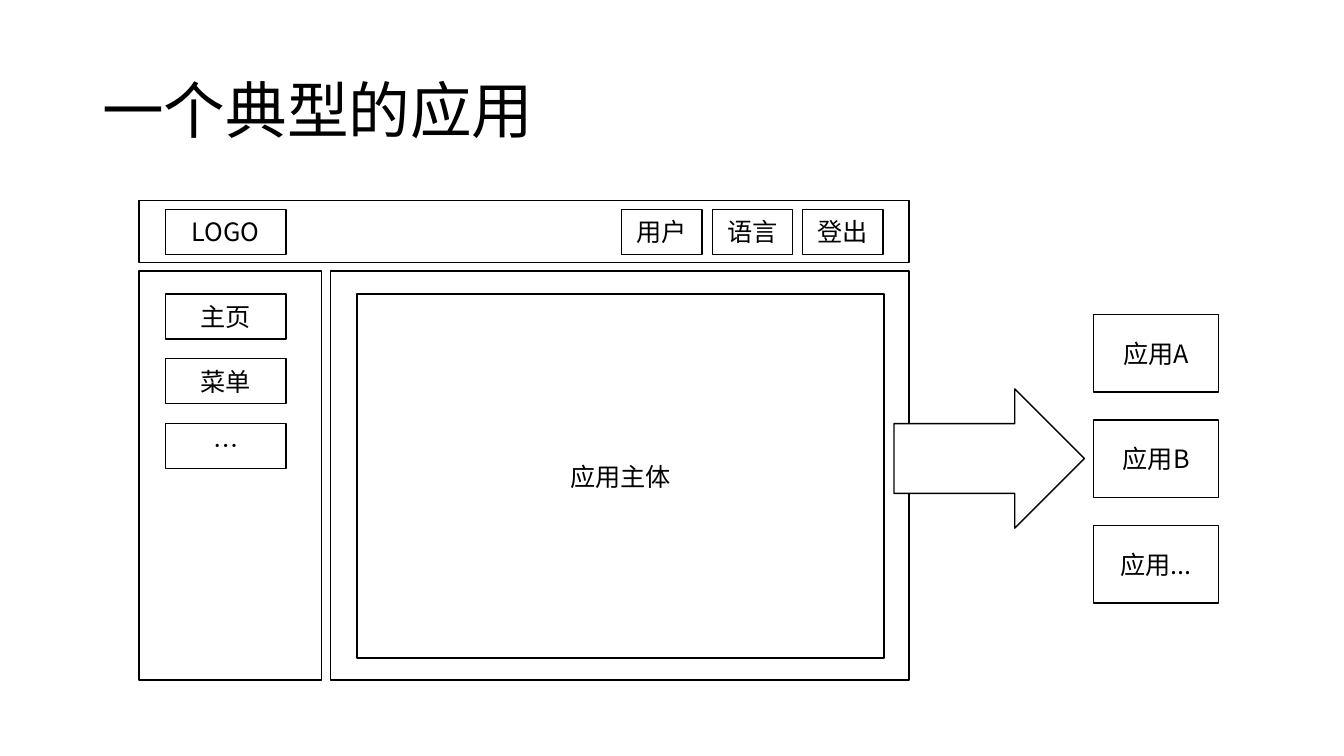
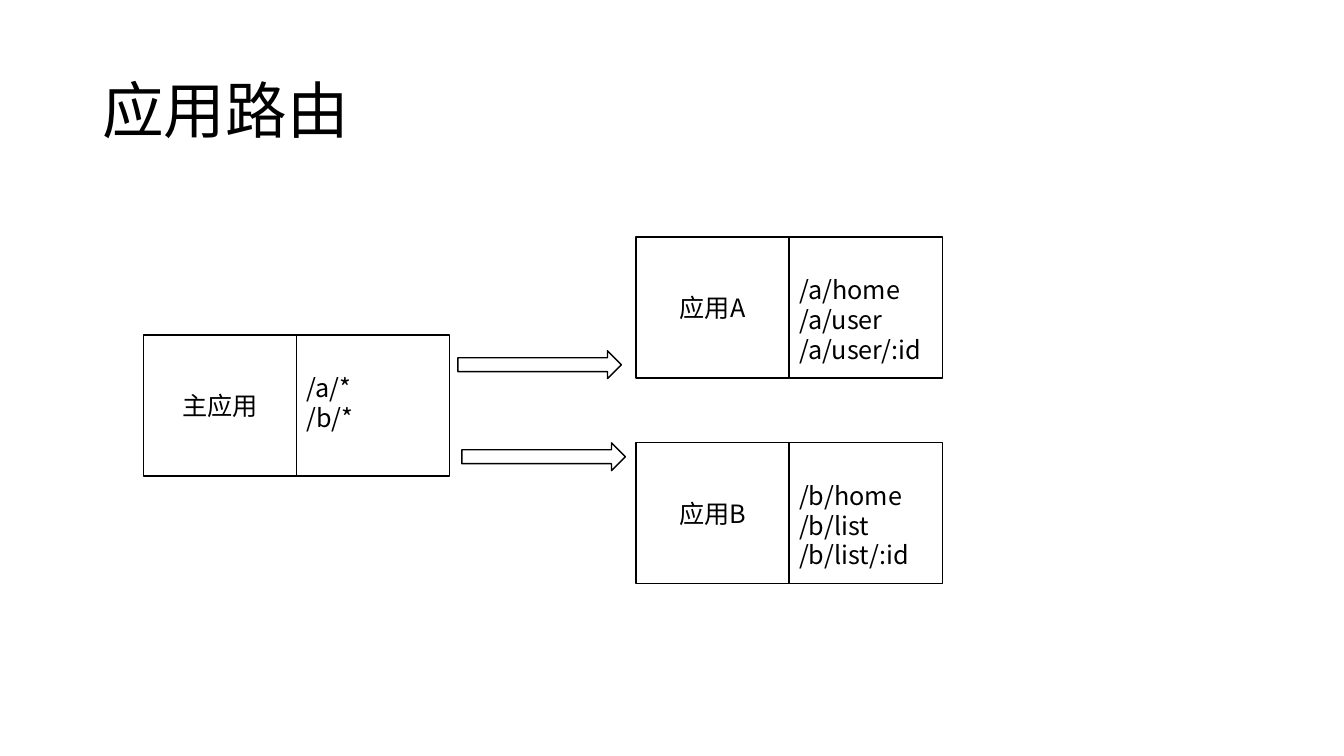
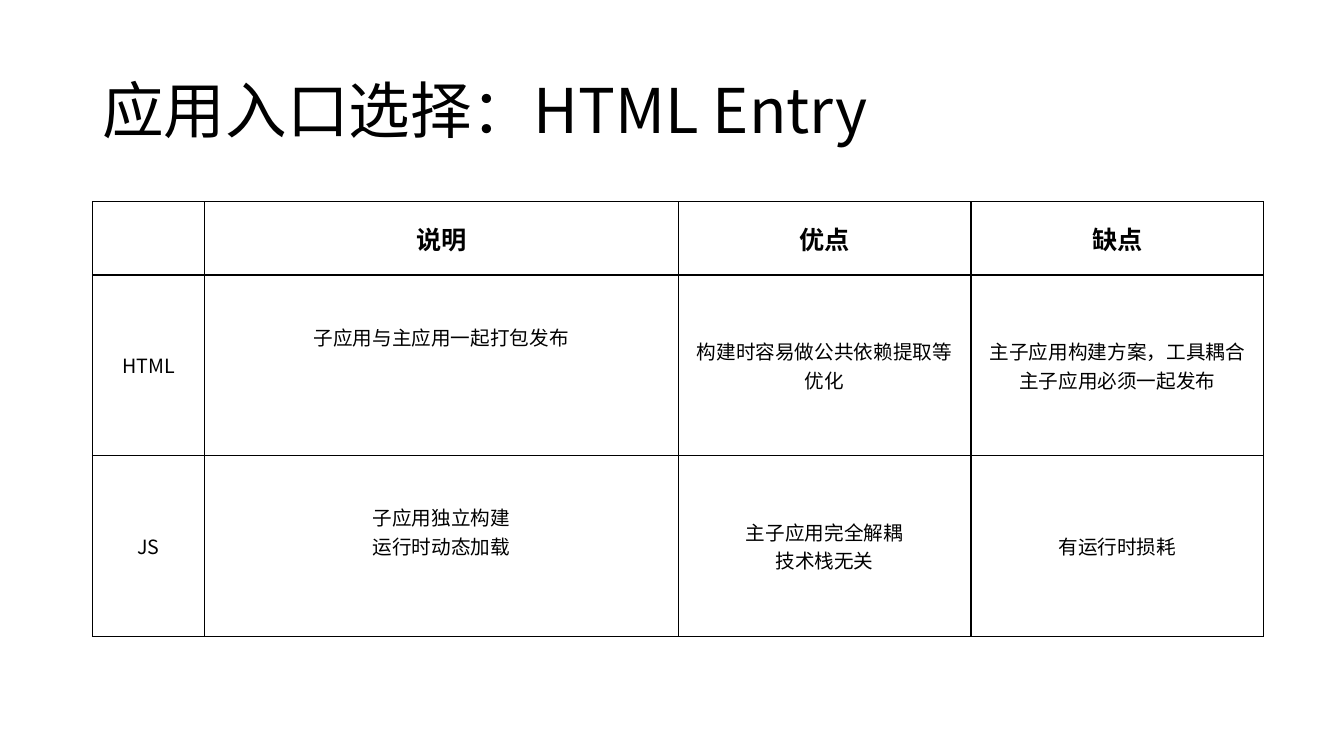
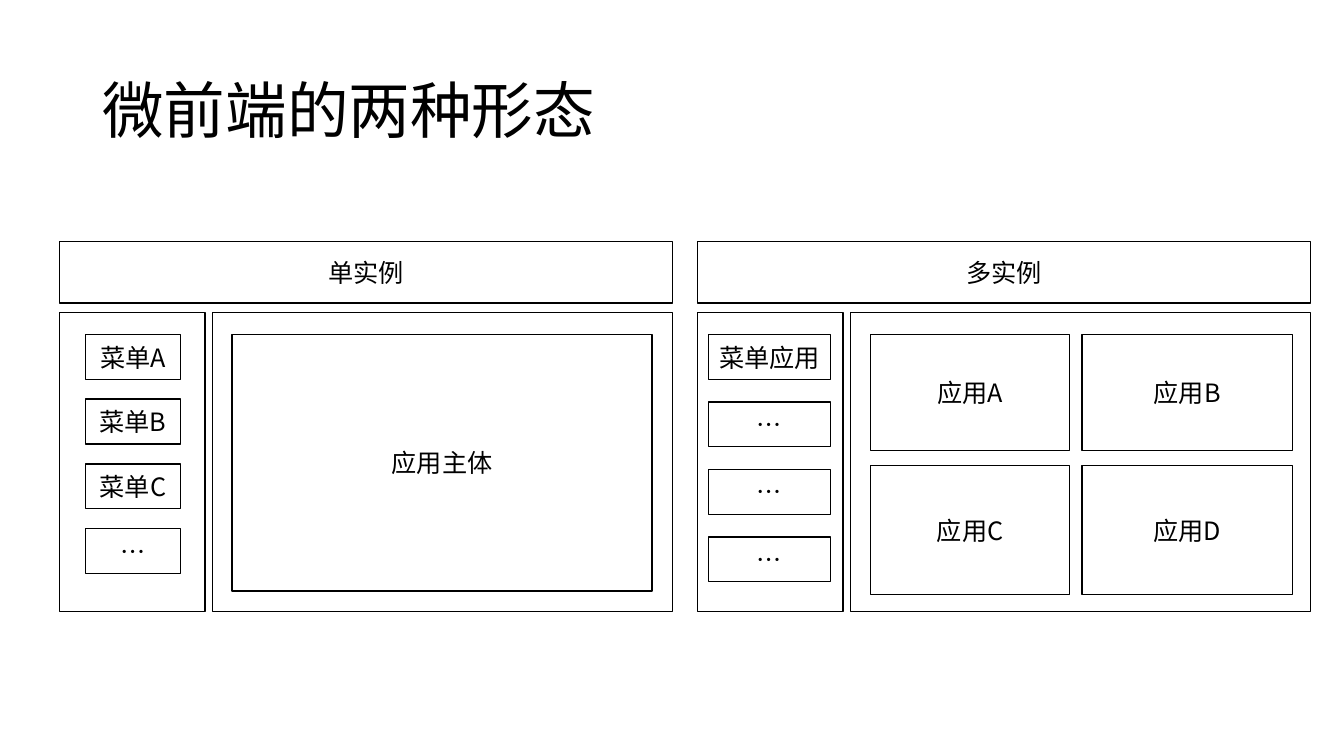
"""Build four slides on micro front-end application structure."""
from lxml.etree import SubElement
from pptx import Presentation
from pptx.dml.color import RGBColor
from pptx.enum.shapes import MSO_SHAPE as SHAPE
from pptx.enum.text import MSO_ANCHOR as ANCHOR, PP_ALIGN as ALIGN
from pptx.oxml.ns import qn
from pptx.util import Cm, Pt

BLACK = RGBColor(0x00, 0x00, 0x00)
WHITE = RGBColor(0xFF, 0xFF, 0xFF)
FONT = "Noto Sans CJK SC"
LABEL = {"size": Pt(18), "name": FONT, "bold": False}
TITLE = {**LABEL, "size": Pt(44)}
HEADER = {**LABEL, "bold": True}
CELL = {**LABEL, "size": Pt(14)}


def write(frame, text, style, align=ALIGN.CENTER, spacing=None):
    """Write each line of text as a styled paragraph."""
    for index, line in enumerate(text.split("\n")):
        paragraph = frame.add_paragraph() if index else frame.paragraphs[0]
        paragraph.alignment = align
        paragraph.line_spacing = spacing
        run = paragraph.add_run()
        run.text = line
        for name, value in style.items():
            setattr(run.font, name, value)
        run.font.color.rgb = BLACK
        SubElement(run.font._element, qn("a:ea"), typeface=FONT)


def add_box(slide, left, top, width, height, text="", kind=SHAPE.RECTANGLE, filled=False):
    """Add an outlined shape with an optional centred label."""
    shape = slide.shapes.add_shape(kind, Cm(left), Cm(top), Cm(width), Cm(height))
    shape.shadow.inherit = False
    if filled:
        shape.fill.solid()
        shape.fill.fore_color.rgb = WHITE
    else:
        shape.fill.background()
    shape.line.color.rgb = BLACK
    shape.line.width = Pt(1)
    frame = shape.text_frame
    frame.word_wrap = True
    frame.margin_left = frame.margin_right = Cm(0.1)
    frame.vertical_anchor = ANCHOR.MIDDLE
    if text:
        write(frame, text, LABEL)
    return shape


presentation = Presentation()
presentation.slide_width = Cm(33.87)
presentation.slide_height = Cm(19.05)

slides = []
for title in ["一个典型的应用", "应用路由", "应用入口选择：HTML Entry", "微前端的两种形态"]:
    slide = presentation.slides.add_slide(presentation.slide_layouts[6])
    frame = slide.shapes.add_textbox(Cm(2.33), Cm(1.02), Cm(29.21), Cm(3.68)).text_frame
    frame.word_wrap = True
    frame.vertical_anchor = ANCHOR.MIDDLE
    write(frame, title, TITLE, ALIGN.LEFT, 0.9)
    slides.append(slide)
typical_slide, routing_slide, entry_slide, modes_slide = slides

add_box(typical_slide, 3.5, 5.05, 19.41, 1.56, filled=True)
add_box(typical_slide, 3.5, 6.83, 4.6, 10.31)
add_box(typical_slide, 8.33, 6.83, 14.58, 10.31)
add_box(typical_slide, 4.17, 5.28, 3.04, 1.13, "LOGO")
for index, label in enumerate(["用户", "语言", "登出"]):
    add_box(typical_slide, 15.67 + index * 2.28, 5.28, 2.02, 1.13, label)
for index, label in enumerate(["主页", "菜单", "…"]):
    add_box(typical_slide, 4.17, 7.41 + index * 1.63, 3.04, 1.13, label)
add_box(typical_slide, 9, 7.41, 13.28, 9.17, "应用主体")
add_box(typical_slide, 22.53, 9.8, 4.8, 3.51, kind=SHAPE.RIGHT_ARROW, filled=True)
for index, label in enumerate(["应用A", "应用B", "应用..."]):
    add_box(typical_slide, 27.56, 7.92 + index * 2.66, 3.15, 1.96, label)

APP_WIDTH, APP_HEIGHT = 3.86, 3.56
for left, top, app, routes in [
    (3.61, 8.44, "主应用", "/a/*\n/b/*"),
    (16.03, 5.97, "应用A", "/a/home\n/a/user\n/a/user/:id"),
    (16.03, 11.15, "应用B", "/b/home\n/b/list\n/b/list/:id"),
]:
    add_box(routing_slide, left, top, APP_WIDTH, APP_HEIGHT, app)
    frame = add_box(routing_slide, left + APP_WIDTH, top, APP_WIDTH, APP_HEIGHT).text_frame
    frame.vertical_anchor = ANCHOR.TOP
    frame.margin_left = Cm(0.25)
    frame.margin_top = Cm(0.95)
    write(frame, routes, LABEL, ALIGN.LEFT, Pt(21.4))
for left, top in [(11.54, 8.84), (11.64, 11.16)]:
    add_box(routing_slide, left, top, 4.12, 0.7, kind=SHAPE.RIGHT_ARROW)

rows = [
    ["", "说明", "优点", "缺点"],
    ["HTML", "子应用与主应用一起打包发布", "构建时容易做公共依赖提取等优化",
     "主子应用构建方案，工具耦合\n主子应用必须一起发布"],
    ["JS", "子应用独立构建\n运行时动态加载", "主子应用完全解耦\n技术栈无关", "有运行时损耗"],
]
widths = [2.82, 11.94, 7.38, 7.38]
heights = [1.85, 4.55, 4.55]
table = entry_slide.shapes.add_table(
    len(rows), len(widths), Cm(2.33), Cm(5.08), Cm(sum(widths)), Cm(sum(heights))).table
table.first_row = table.horz_banding = False
for column, width in zip(table.columns, widths):
    column.width = Cm(width)
for row_index, (texts, height) in enumerate(zip(rows, heights)):
    table.rows[row_index].height = Cm(height)
    for column_index, text in enumerate(texts):
        cell = table.cell(row_index, column_index)
        cell.vertical_anchor = ANCHOR.MIDDLE
        if text:
            write(cell.text_frame, text, CELL if row_index else HEADER)
        properties = cell._tc.get_or_add_tcPr()
        for side in ["a:lnL", "a:lnR", "a:lnT", "a:lnB"]:
            border = SubElement(properties, qn(side), w=str(Pt(1)))
            SubElement(SubElement(border, qn("a:solidFill")), qn("a:srgbClr"), val=str(BLACK))
        cell.fill.background()
table.cell(1, 1).margin_bottom = Cm(1.57)
table.cell(2, 1).margin_bottom = Cm(0.85)

for left, mode, menu_inset, menu_width, menu_pitch, menus in [
    (1.5, "单实例", 0.65, 2.4, 1.63, ["菜单A", "菜单B", "菜单C", "…"]),
    (17.58, "多实例", 0.28, 3.07, 1.7, ["菜单应用", "…", "…", "…"]),
]:
    add_box(modes_slide, left, 6.08, 15.45, 1.56, mode, filled=True)
    add_box(modes_slide, left, 7.87, 3.67, 7.54)
    add_box(modes_slide, left + 3.85, 7.87, 11.6, 7.54)
    for index, label in enumerate(menus):
        add_box(modes_slide, left + menu_inset, 8.43 + index * menu_pitch, menu_width, 1.13, label)
add_box(modes_slide, 5.85, 8.43, 10.58, 6.46, "应用主体")
for top, height, labels in [(8.43, 2.93, ["应用A", "应用B"]), (11.73, 3.25, ["应用C", "应用D"])]:
    for left, width, label in zip([21.94, 27.27], [5.02, 5.3], labels):
        add_box(modes_slide, left, top, width, height, label)

presentation.save("out.pptx")
